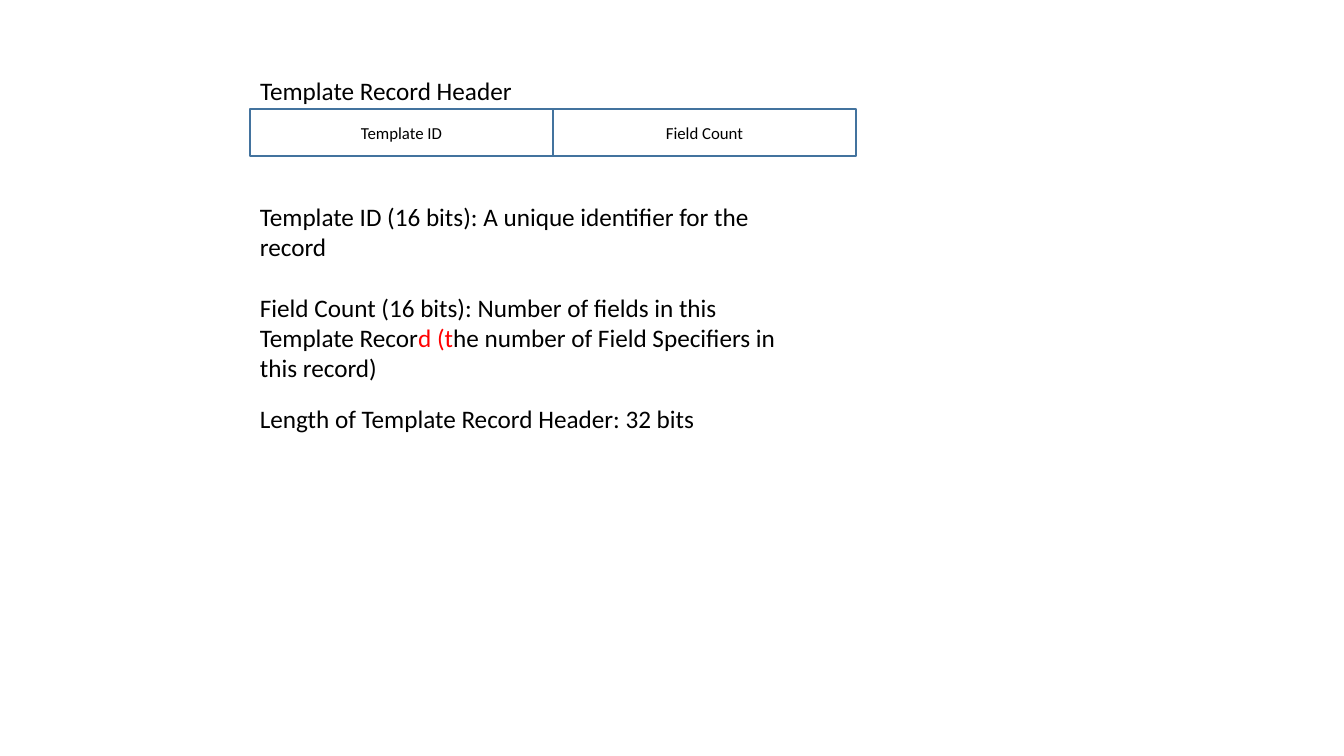
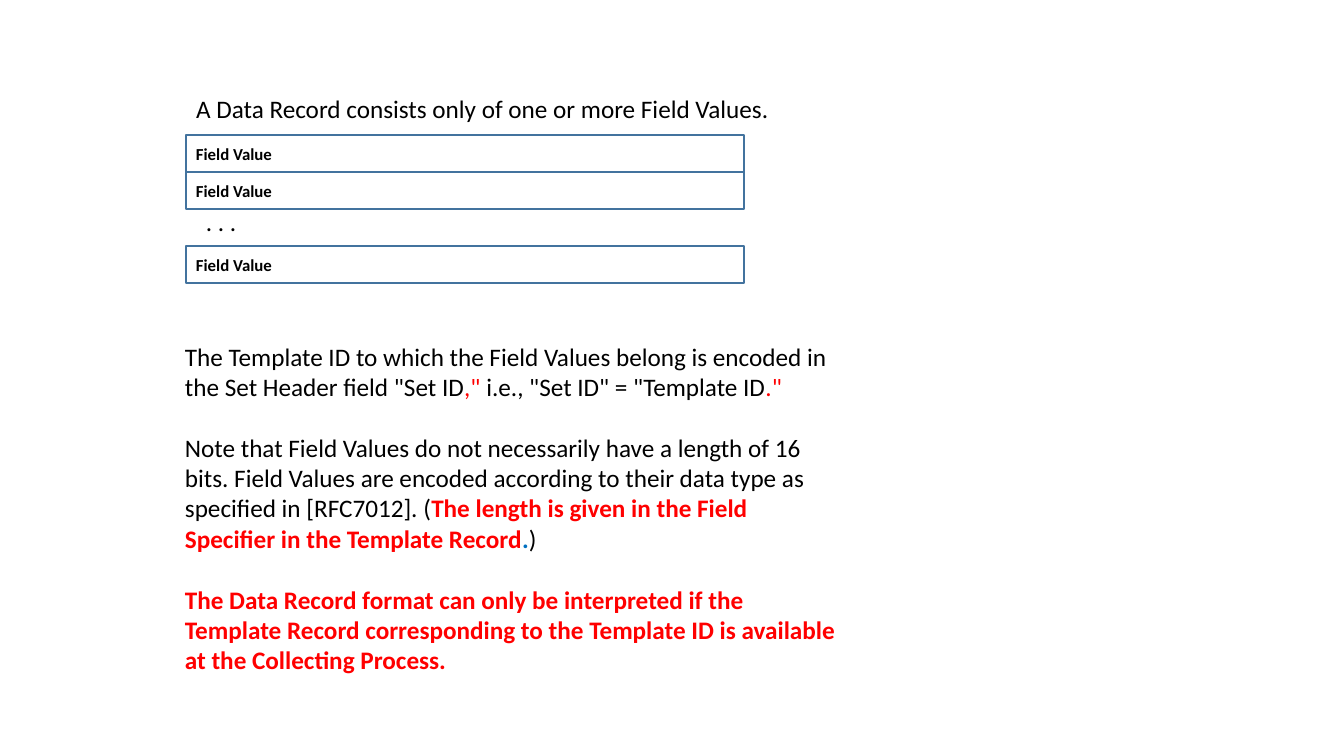
from pptx import Presentation
from pptx.dml.color import RGBColor
from pptx.enum.shapes import MSO_SHAPE as Shape
from pptx.enum.text import MSO_ANCHOR as Anchor, MSO_AUTO_SIZE as Auto, PP_ALIGN as Align
from pptx.util import Pt

PX = 9071  # EMU in one px
BLACK = RGBColor(0x00, 0x00, 0x00)
WHITE = RGBColor(0xFF, 0xFF, 0xFF)
RED = RGBColor(0xFF, 0x00, 0x00)
BLUE = RGBColor(0x00, 0x70, 0xC0)
EDGE = RGBColor(0x43, 0x73, 0x9E)
FONT, SIZE, SMALL, GAP = "Calibri", 18, 12, 22

# Content: a paragraph is a list of runs (text, colour, bold)
HEADER = "Template Record Header"
FIELDS = ["Template ID", "Field Count"]
FIELD_TEXT = [
    [("Template ID (16 bits): A unique identifier for the record", BLACK, False)],
    [("Field Count (16 bits): Number of fields in this Template Recor", BLACK, False),
     ("d (t", RED, False),
     ("he number of Field Specifiers in this record)", BLACK, False)],
]
LENGTH = "Length of Template Record Header: 32 bits"

DATA = "A Data Record consists only of one or more Field Values."
ROWS = ["Field Value", "Field Value", ". . .", "Field Value"]
DATA_TEXT = [
    [('The Template ID to which the Field Values belong is encoded in '
      'the Set Header field "Set ID', BLACK, False),
     (',"', RED, False),
     (' i.e., "Set ID" = "Template ID', BLACK, False),
     ('."', RED, False)],
    [("Note that Field Values do not necessarily have a length of 16 bits. "
      "Field Values are encoded according to their data type as "
      "specified in [RFC7012]. (", BLACK, False),
     ("The length is given in the Field Specifier in the Template Record", RED, True),
     (".", BLUE, True),
     (")", BLACK, False)],
    [("The Data Record format can only be interpreted if the Template Record "
      "corresponding to the Template ID is available at the Collecting Process.",
      RED, True)],
]


def emu(*nums):
    return [n * PX for n in nums]


def write(frame, paras, size=SIZE, align=Align.LEFT):
    frame.word_wrap = True
    for i, runs in enumerate(paras):
        para = frame.add_paragraph() if i else frame.paragraphs[0]
        para.alignment = align
        para.space_before = Pt(GAP if i else 0)
        for text, color, bold in runs:
            run = para.add_run()
            run.text = text
            font = run.font
            font.name, font.size, font.bold = FONT, Pt(size), bold
            font.color.rgb = color


def add_slide(deck, title, x, y, w, h):
    slide = deck.slides.add_slide(deck.slide_layouts[5])
    head = slide.shapes.title
    head.left, head.top, head.width, head.height = emu(x, y, w, h)
    frame = head.text_frame
    frame.auto_size = Auto.NONE
    frame.vertical_anchor = Anchor.TOP
    write(frame, [[(title, BLACK, False)]])
    return slide


def add_text(slide, paras, x, y, w, h):
    write(slide.shapes.add_textbox(*emu(x, y, w, h)).text_frame, paras)


def add_box(slide, text, x, y, w, h, align=Align.LEFT, bold=False):
    box = slide.shapes.add_shape(Shape.RECTANGLE, *emu(x, y, w, h))
    box.shadow.inherit = False
    box.fill.solid()
    box.fill.fore_color.rgb = WHITE
    box.line.color.rgb = EDGE
    box.line.width = Pt(1)
    box.text_frame.vertical_anchor = Anchor.MIDDLE
    write(box.text_frame, [[(text, BLACK, bold)]], SMALL, align)


def header_slide(deck):
    x, wide = 250, 303
    slide = add_slide(deck, HEADER, x, 70, 300, 40)
    # Fields side by side
    for i, name in enumerate(FIELDS):
        add_box(slide, name, x + i * wide, 109, wide, 47, Align.CENTER)
    add_text(slide, FIELD_TEXT, x, 196, 576, 194)
    add_text(slide, [[(LENGTH, BLACK, False)]], x, 398, 480, 40)


def data_slide(deck):
    x, top, step = 186, 135, 37
    slide = add_slide(deck, DATA, x, 88, 672, 40)
    # Stacked values, with dots in place of the omitted ones
    for i, text in enumerate(ROWS):
        y = top + i * step
        if text == "Field Value":
            add_box(slide, text, x, y, 558, step, bold=True)
        else:
            add_text(slide, [[(text, BLACK, False)]], x + 10, y - 8, 80, 40)
    add_text(slide, DATA_TEXT, 175, 336, 672, 346)


def main():
    deck = Presentation()
    deck.slide_width, deck.slide_height = emu(1344, 756)
    header_slide(deck)
    data_slide(deck)
    deck.save("out.pptx")


if __name__ == "__main__":
    main()
